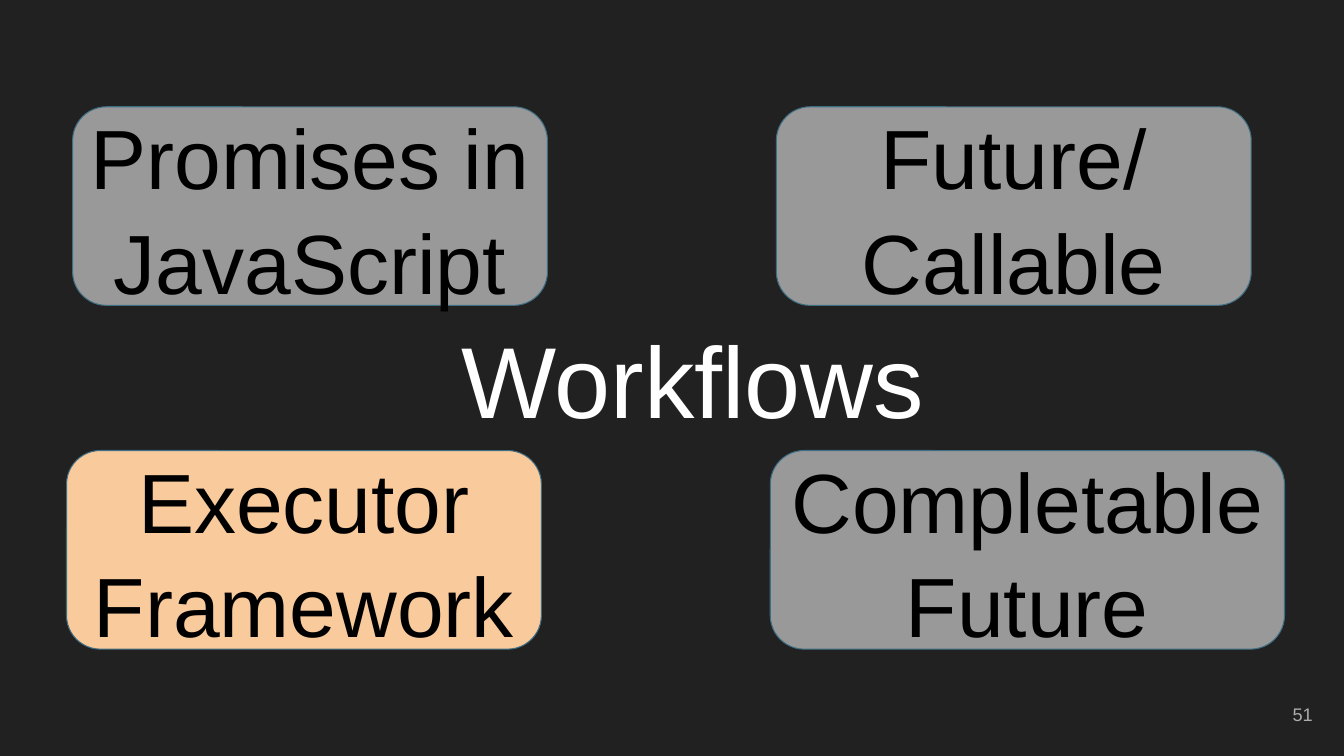
from pptx import Presentation
from pptx.dml.color import RGBColor as Rgb
from pptx.enum.shapes import MSO_SHAPE as Shape
from pptx.enum.text import MSO_ANCHOR as Anchor, PP_ALIGN as Align
from pptx.util import Emu, Pt

SCALE = 9144
HUES = {
    "back": "212121",
    "grey": "999999",
    "peach": "F9CB9C",
    "edge": "3E6E84",
    "ink": "000000",
    "title": "FFFFFF",
    "page": "ADADAD",
}


def px(num):
    return Emu(num * SCALE)


def hue(name):
    return Rgb.from_string(HUES[name])


class Deck:
    font = "Arial"

    def __init__(self, wide, high):
        self.show = Presentation()
        self.show.slide_width = px(wide)
        self.show.slide_height = px(high)
        self.slide = self.show.slides.add_slide(self.show.slide_layouts[6])
        fill = self.slide.background.fill
        fill.solid()
        fill.fore_color.rgb = hue("back")

    def style(self, shape, text, size, tone, align, pad, lead=1.0):
        frame = shape.text_frame
        frame.text = text
        frame.word_wrap = True
        frame.vertical_anchor = Anchor.MIDDLE
        frame.margin_left = frame.margin_right = px(pad)
        frame.margin_top = frame.margin_bottom = px(pad)
        for para in frame.paragraphs:
            para.alignment = align
            para.line_spacing = lead
            for run in para.runs:
                run.font.name = self.font
                run.font.size = Pt(size)
                run.font.color.rgb = hue(tone)

    def label(self, spot, text, size, tone, align):
        box = self.slide.shapes.add_textbox(*map(px, spot))
        self.style(box, text, size, tone, align, 13)

    def card(self, spot, text, tone):
        box = self.slide.shapes.add_shape(Shape.ROUNDED_RECTANGLE, *map(px, spot))
        box.adjustments[0] = 0.17
        box.shadow.inherit = False
        box.fill.solid()
        box.fill.fore_color.rgb = hue(tone)
        box.line.color.rgb = hue("edge")
        box.line.width = Pt(0.75)
        self.style(box, text, 60, "ink", Align.CENTER, 7, 1.04)

    def save(self):
        self.show.save("out.pptx")


def main():
    deck = Deck(1333, 750)
    deck.label((1235, 680, 80, 57), "51", 13, "page", Align.RIGHT)
    deck.label((66, 314, 1242, 123), "Workflows", 72, "title", Align.CENTER)
    cards = [
        (72, 106, 471, "Promises in JavaScript", "grey"),
        (770, 106, 471, "Future/\nCallable", "grey"),
        (66, 447, 471, "Executor Framework", "peach"),
        (764, 447, 510, "CompletableFuture", "grey"),
    ]
    for left, top, wide, text, tone in cards:
        deck.card((left, top, wide, 197), text, tone)
    deck.save()


if __name__ == "__main__":
    main()
